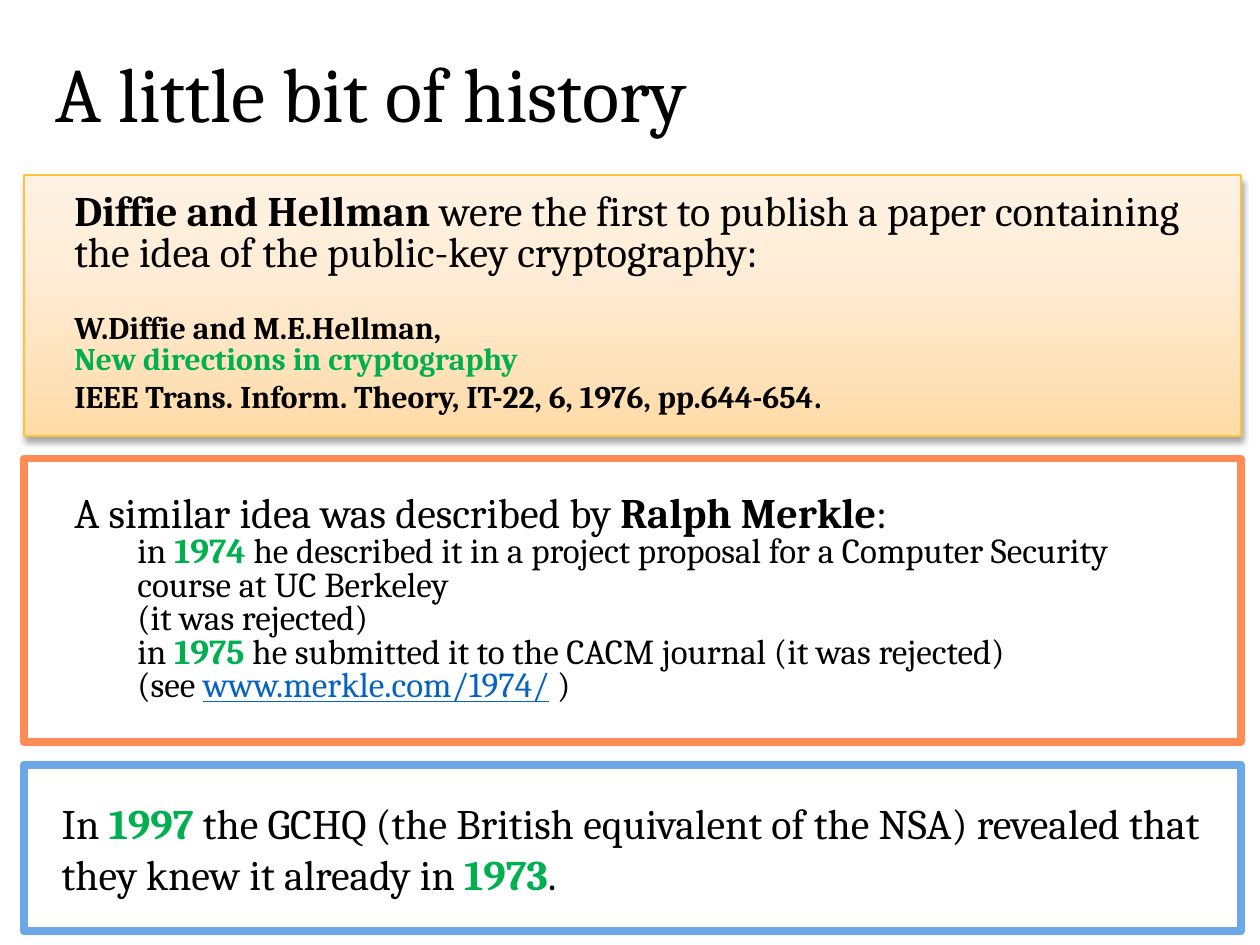
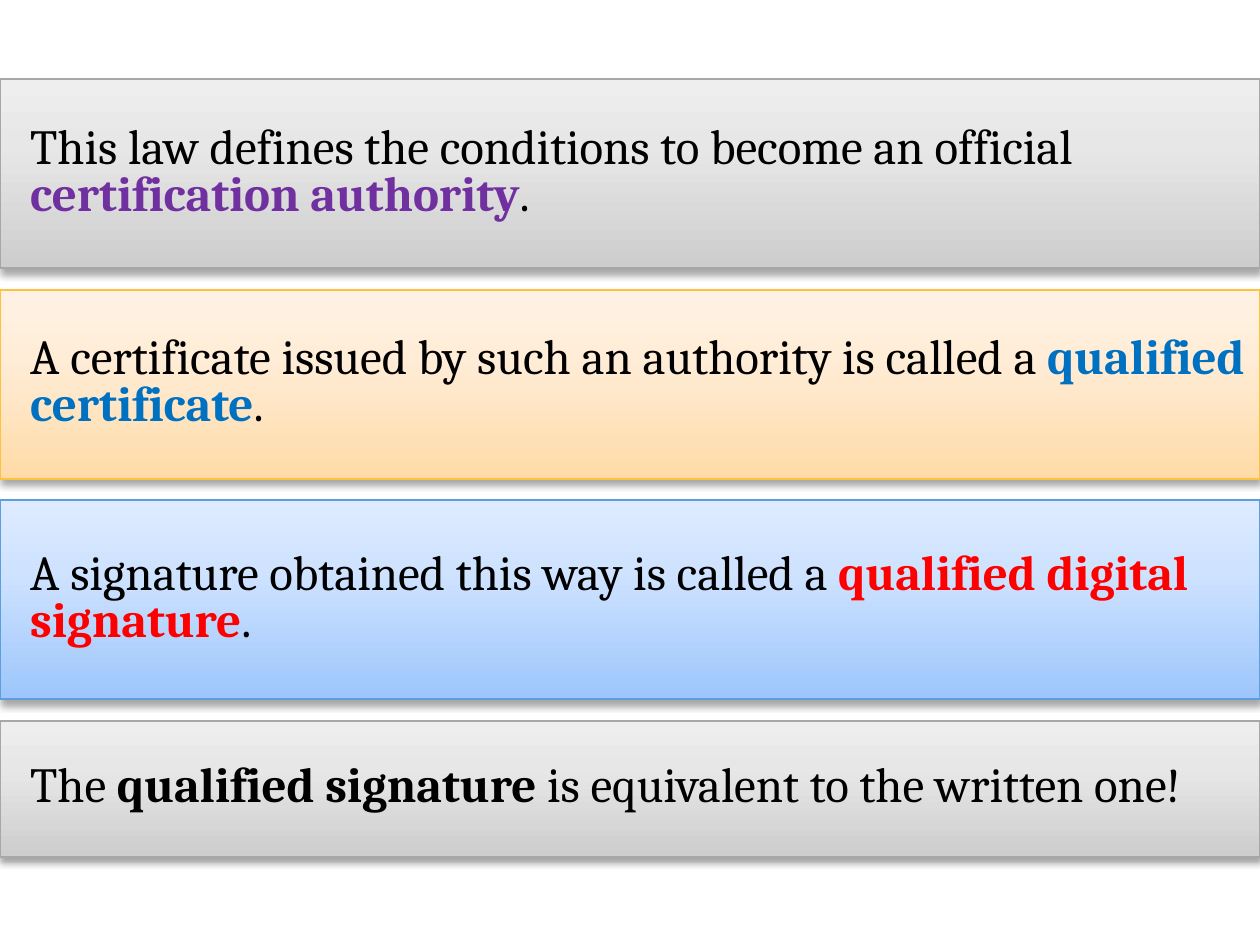
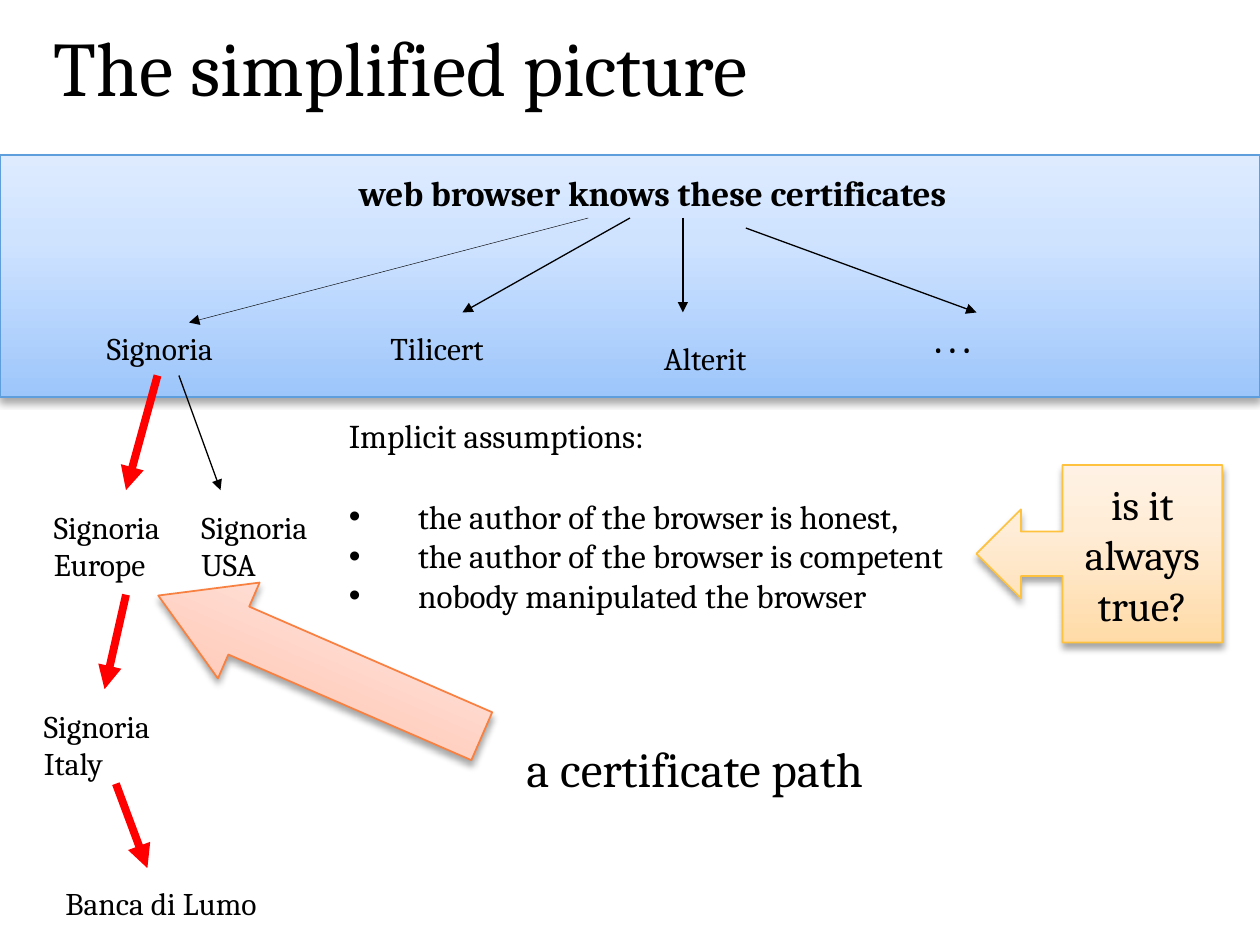
from copy import deepcopy
from dataclasses import dataclass
from typing import NamedTuple

from lxml import etree
from pptx import Presentation
from pptx.dml.color import RGBColor
from pptx.enum import shapes, text
from pptx.oxml import ns
from pptx.util import Emu, Inches, Pt


class Tone(NamedTuple):
    """Gradient colours from bottom to top, and the outline that goes with them."""
    bottom: str
    middle: str
    top: str
    outline: str


@dataclass(frozen=True)
class Theme:
    font: str = "Cambria"
    black: str = "000000"
    white: str = "FFFFFF"
    green: str = "00B050"
    red: str = "FF0000"
    blue: str = "0070C0"
    purple: str = "7030A0"
    link: str = "0563C1"
    coral_border: str = "FF8C55"
    sky_border: str = "6CA8E8"
    amber: Tone = Tone("FFDBA7", "FFEDD8", "FFF2E4", "FFC23E")
    gray: Tone = Tone("CDCDCD", "E7E7E7", "EEEEEE", "A7A7A7")
    sky: Tone = Tone("9DC6FB", "CFE3FF", "DEEBFF", "5F9EDD")
    coral: Tone = Tone("FFB79F", "FFDDD3", "FFE7E0", "F88040")
    title: float = 44
    statement: float = 28
    body: float = 24
    detail: float = 20
    listing: float = 19
    label: float = 18
    thin: float = 0.75
    thick: float = 4.5
    border: float = 4.33


THEME = Theme()


class Box(NamedTuple):
    left: float
    top: float
    width: float
    height: float


class Run(NamedTuple):
    text: str
    color: str = THEME.black
    bold: bool = False
    underline: bool = False
    size: float | None = None


@dataclass(frozen=True)
class Para:
    runs: list[Run]
    size: float = THEME.body
    line_spacing: float = 1.0
    space_before: float = 0
    level: int = 0
    margin: float = 0
    bullet: str = ""
    align: text.PP_ALIGN = text.PP_ALIGN.LEFT


class Arrow(NamedTuple):
    start: tuple[float, float]
    end: tuple[float, float]
    color: str = THEME.black
    width: float = THEME.thin


class Label(NamedTuple):
    text: str
    box: Box
    size: float = THEME.label
    bold: bool = False


class Band(NamedTuple):
    height: float
    tone: Tone
    runs: list[Run]


def rgb(color: str) -> RGBColor:
    return RGBColor.from_string(color)


def inches(box: Box) -> list[Emu]:
    return [Inches(length) for length in box]


def add_child(parent, tag: str, **attributes: str):
    child = etree.SubElement(parent, ns.qn(tag))
    for name, value in attributes.items():
        child.set(name, value)
    return child


def add_runs(paragraph, para: Para) -> None:
    """Add the runs; a newline in a run becomes a line break."""
    for item in para.runs:
        for index, piece in enumerate(item.text.split("\n")):
            if index:
                paragraph.add_line_break()
            if not piece:
                continue
            run = paragraph.add_run()
            run.text = piece
            font = run.font
            font.name = THEME.font
            font.size = Pt(item.size or para.size)
            font.bold = item.bold
            font.underline = item.underline
            font.color.rgb = rgb(item.color)


def write(shape, paras: list[Para], wrap: bool = True, middle: bool = True,
          left: float = 0.1, right: float = 0.1) -> None:
    frame = shape.text_frame
    frame.word_wrap = wrap
    frame.vertical_anchor = text.MSO_ANCHOR.MIDDLE if middle else text.MSO_ANCHOR.TOP
    frame.margin_left, frame.margin_right = Inches(left), Inches(right)
    for index, para in enumerate(paras):
        paragraph = frame.add_paragraph() if index else frame.paragraphs[0]
        paragraph.alignment = para.align
        paragraph.level = para.level
        paragraph.line_spacing = para.line_spacing
        if para.space_before:
            paragraph.space_before = Pt(para.space_before)
        if para.margin:
            properties = paragraph._p.get_or_add_pPr()
            properties.set("marL", str(Inches(para.margin)))
            properties.set("indent", str(Inches(-para.margin if para.bullet else 0)))
            if para.bullet:
                add_child(properties, "a:buFont", typeface="Arial")
                add_child(properties, "a:buChar", char=para.bullet)
        add_runs(paragraph, para)


def add_text(slide, box: Box, paras: list[Para], wrap: bool = True, middle: bool = False) -> None:
    write(slide.shapes.add_textbox(*inches(box)), paras, wrap, middle)


def add_title(slide, title: str, box: Box) -> None:
    add_text(slide, box, [Para([Run(title)], THEME.title, 0.9)], middle=True)


def add_framed(slide, box: Box, border: str):
    """A white card with a heavy border."""
    shape = slide.shapes.add_shape(shapes.MSO_SHAPE.RECTANGLE, *inches(box))
    shape.shadow.inherit = False
    shape.fill.solid()
    shape.fill.fore_color.rgb = rgb(THEME.white)
    shape.line.color.rgb = rgb(border)
    shape.line.width = Pt(THEME.border)
    return shape


def add_shaded(slide, box: Box, tone: Tone, preset=shapes.MSO_SHAPE.RECTANGLE):
    """A shape with a vertical gradient and a soft shadow below."""
    shape = slide.shapes.add_shape(preset, *inches(box))
    shape.fill.gradient()
    shape.fill.gradient_angle = 90
    properties = shape._element.spPr
    stops = properties.find(".//" + ns.qn("a:gsLst"))
    stops.append(deepcopy(stops[0]))
    colors = (tone.bottom, tone.middle, tone.top)
    for stop, position, color in zip(shape.fill.gradient_stops, (0, 0.65, 1), colors):
        stop.position = position
        stop.color.rgb = rgb(color)
    shape.line.color.rgb = rgb(tone.outline)
    shape.line.width = Pt(1)
    shape.shadow.inherit = False
    shadow = add_child(properties.find(ns.qn("a:effectLst")), "a:outerShdw",
                       blurRad=str(Pt(4)), dist=str(Pt(3)), dir="5400000", rotWithShape="0")
    add_child(add_child(shadow, "a:srgbClr", val=THEME.black), "a:alpha", val="35000")
    return shape


def add_arrow(slide, arrow: Arrow) -> None:
    ends = [Inches(length) for length in (*arrow.start, *arrow.end)]
    connector = slide.shapes.add_connector(shapes.MSO_CONNECTOR.STRAIGHT, *ends)
    connector.line.color.rgb = rgb(arrow.color)
    connector.line.width = Pt(arrow.width)
    properties = connector._element.spPr
    add_child(properties.find(ns.qn("a:ln")), "a:tailEnd", type="triangle")
    add_child(properties, "a:effectLst")


def build_history(slide) -> None:
    def year(number: str) -> Run:
        return Run(number, THEME.green, bold=True)

    def step(*runs: Run) -> Para:
        return Para(list(runs), THEME.detail, 0.8, level=1, margin=0.5)

    paper = [
        Para([Run("Diffie and Hellman ", bold=True),
              Run("were the first to publish a paper containing the idea of the "
                  "public-key cryptography:")], line_spacing=0.8),
        Para([Run("W.Diffie and M.E.Hellman, \n", bold=True),
              Run("New directions in cryptography\n", THEME.green, bold=True),
              Run("IEEE Trans. Inform. Theory, IT-22, 6, 1976, pp.644-654", bold=True),
              Run(".", size=THEME.body)], THEME.label, 0.8, space_before=23),
    ]
    merkle = [
        Para([Run("A similar idea was described by "), Run("Ralph Merkle", bold=True), Run(":")],
             line_spacing=0.8),
        step(Run("in "), year("1974 "),
             Run("he described it in a project proposal for a Computer Security course at "
                 "UC Berkeley \n(it was rejected)")),
        step(Run("in "), year("1975 "),
             Run("he submitted it to the CACM journal (it was rejected)")),
        step(Run("(see "), Run("www.merkle.com/1974/", THEME.link, underline=True), Run(" )")),
    ]
    agency = [Para([
        Run("In "), year("1997 "),
        Run("the GCHQ (the British equivalent of the NSA) revealed that they knew it already in "),
        year("1973"), Run("."),
    ])]

    left, width, gap = 0.19, 9.66, 0.18
    paper_box = Box(left, 1.39, width, 2.07)
    merkle_box = Box(left, paper_box.top + paper_box.height + gap, width, 2.25)
    agency_box = Box(left, merkle_box.top + merkle_box.height + gap, width, 1.32)
    add_title(slide, "A little bit of history", Box(0.34, 0.32, 8.62, 0.91))
    write(add_framed(slide, merkle_box, THEME.coral_border), merkle, left=0.4, right=0.3)
    write(add_shaded(slide, paper_box, THEME.amber), paper, left=0.4, right=0.3)
    write(add_framed(slide, agency_box, THEME.sky_border), agency, left=0.3, right=0.3)


def build_law(slide) -> None:
    bands = [
        Band(1.5, THEME.gray, [
            Run("This law defines the conditions to become an official "),
            Run("certification authority", THEME.purple, bold=True), Run(".")]),
        Band(1.5, THEME.amber, [
            Run("A certificate issued by such an authority is called a "),
            Run("qualified certificate", THEME.blue, bold=True), Run(".")]),
        Band(1.58, THEME.sky, [
            Run("A signature obtained this way is called a "),
            Run("qualified digital signature", THEME.red, bold=True), Run(".")]),
        Band(1.08, THEME.gray, [
            Run("The "), Run("qualified signature", bold=True),
            Run(" is equivalent to the written one!")]),
    ]
    top, gap = 0.63, 0.17
    for band in bands:
        shape = add_shaded(slide, Box(0, top, 10, band.height), band.tone)
        write(shape, [Para(band.runs, THEME.statement, 0.8)], left=0.24)
        top += band.height + gap


def build_certificates(slide) -> None:
    root = "Signoria"
    labels = [
        Label("web browser knows these certificates", Box(2.75, 1.31, 5.18, 0.43),
              THEME.detail, True),
        Label(root, Box(0.75, 2.56, 1.1, 0.4)),
        Label("Tilicert", Box(3, 2.56, 1.1, 0.4)),
        Label("Alterit", Box(5.17, 2.64, 0.99, 0.4)),
        Label(". . .", Box(7.32, 2.51, 0.62, 0.4), bold=True),
        Label(f"{root}\nEurope", Box(0.33, 3.98, 1.1, 0.7)),
        Label(f"{root}\nUSA", Box(1.5, 3.98, 1.1, 0.7)),
        Label(f"{root}\nItaly", Box(0.25, 5.56, 1.1, 0.7)),
        Label("Banca di Lumo", Box(0.42, 6.97, 1.91, 0.4)),
        Label("a certificate path", Box(4.08, 5.81, 3.06, 0.57), THEME.statement),
    ]
    arrows = [
        Arrow((4.67, 1.73), (1.5, 2.56), width=0.25),
        Arrow((5, 1.73), (3.67, 2.48)),
        Arrow((5.42, 1.73), (5.42, 2.48)),
        Arrow((5.92, 1.81), (7.75, 2.48)),
        Arrow((1.42, 2.98), (1.75, 3.89)),
        Arrow((1.25, 2.98), (1, 3.89), THEME.red, THEME.thick),
        Arrow((1, 4.72), (0.83, 5.47), THEME.red, THEME.thick),
        Arrow((0.92, 6.22), (1.17, 6.89), THEME.red, THEME.thick),
    ]
    assumptions = [
        "the author of the browser is honest,",
        "the author of the browser is competent",
        "nobody manipulated the browser",
    ]

    add_shaded(slide, Box(0, 1.23, 10, 1.92), THEME.sky)
    add_title(slide, "The simplified picture", Box(0.33, 0.09, 9, 0.95))
    for arrow in arrows:
        add_arrow(slide, arrow)
    for label in labels:
        add_text(slide, label.box, [Para([Run(label.text, bold=label.bold)], label.size)],
                 wrap=False)

    pointer = add_shaded(slide, Box(1.14, 4.87, 2.8, 0.83), THEME.coral,
                         shapes.MSO_SHAPE.LEFT_ARROW)
    pointer.adjustments[0], pointer.adjustments[1] = 0.5, 0.84
    pointer.rotation = 23.5

    bullets = [Para([Run(line)], THEME.listing, space_before=0 if index else 23,
                    margin=0.55, bullet="•")
               for index, line in enumerate(assumptions)]
    add_text(slide, Box(2.67, 3.25, 5.33, 2.02),
             [Para([Run("Implicit assumptions:")], THEME.listing), *bullets])

    question = add_shaded(slide, Box(7.75, 3.69, 1.95, 1.41), THEME.amber,
                          shapes.MSO_SHAPE.RIGHT_ARROW_CALLOUT)
    question._element.spPr.get_or_add_xfrm().set("flipH", "1")
    write(question, [Para([Run("is it always true?")], align=text.PP_ALIGN.CENTER)])


def main() -> None:
    presentation = Presentation()
    presentation.slide_width, presentation.slide_height = Inches(10), Inches(7.5)
    blank = presentation.slide_layouts[6]
    for build in (build_history, build_law, build_certificates):
        build(presentation.slides.add_slide(blank))
    presentation.save("out.pptx")


if __name__ == "__main__":
    main()
